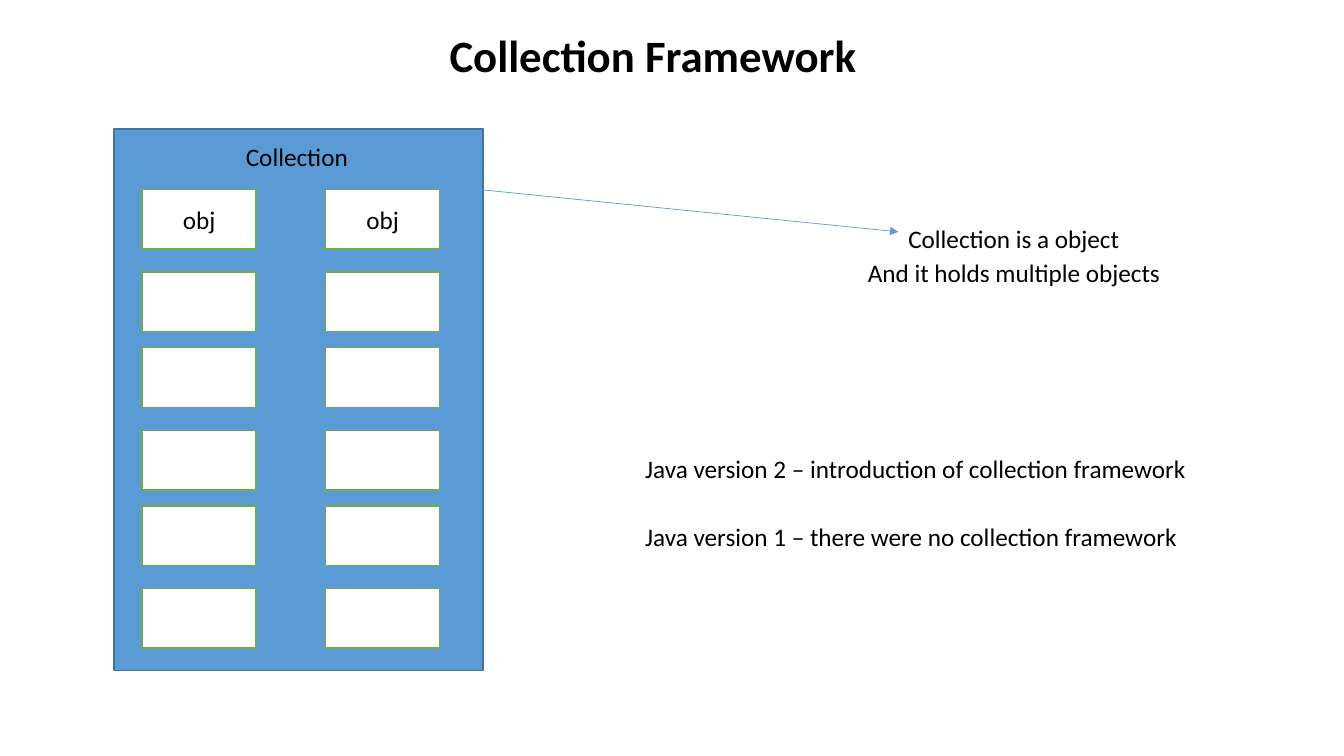
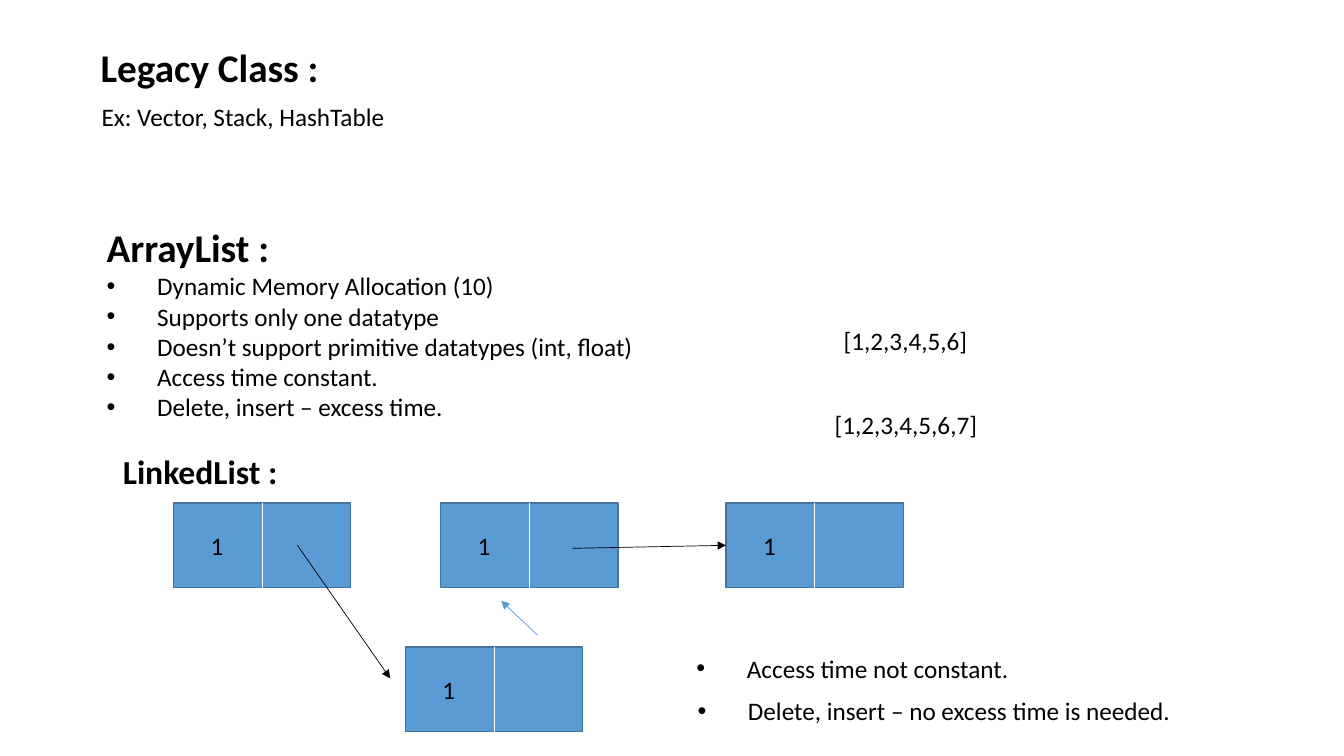
"""Build two slides on the Java collection framework."""
from itertools import product

from lxml.etree import SubElement
from pptx import Presentation
from pptx.dml.color import RGBColor
from pptx.enum.shapes import MSO_CONNECTOR, MSO_SHAPE
from pptx.enum.text import MSO_ANCHOR, PP_ALIGN
from pptx.oxml.ns import qn
from pptx.util import Inches, Pt

FONT = "Calibri"
BODY_SIZE = 18
BLACK = RGBColor(0x00, 0x00, 0x00)
WHITE = RGBColor(0xFF, 0xFF, 0xFF)
BLUE = RGBColor(0x5B, 0x9B, 0xD5)
DARK_BLUE = RGBColor(0x43, 0x73, 0x9E)
GREEN = RGBColor(0x70, 0xAD, 0x47)

NODE_WIDTH, NODE_HEIGHT = 1.76, 0.84
LEFT, BOTTOM_SIDE, TOP_SIDE = 1, 2, 0


def format_paragraph(paragraph, size=BODY_SIZE, bold=False):
    """Apply the shared font to the runs of a paragraph."""
    for run in paragraph.runs:
        run.font.name = FONT
        run.font.size = Pt(size)
        run.font.bold = bold
        run.font.color.rgb = BLACK


def add_bullet(paragraph):
    """Give a paragraph a hanging round bullet."""
    properties = paragraph._p.get_or_add_pPr()
    properties.set("marL", str(Inches(0.5)))
    properties.set("indent", str(-Inches(0.5)))
    SubElement(properties, qn("a:buFont"), typeface="Arial")
    SubElement(properties, qn("a:buChar"), char="•")


def add_label(slide, text, left, top, width, height=0.4, size=BODY_SIZE, bold=False):
    """Add one line of text and return its text frame."""
    box = slide.shapes.add_textbox(
        Inches(left), Inches(top), Inches(width), Inches(height))
    frame = box.text_frame
    frame.word_wrap = False
    frame.text = text
    format_paragraph(frame.paragraphs[0], size, bold)
    return frame


def add_heading(slide, text, left, top, width, height, size=28):
    """Add a bold heading and return its text frame."""
    return add_label(slide, text, left, top, width, height, size, True)


def add_box(slide, left, top, width, height, fill, outline, text=""):
    """Add a rectangle with centred text."""
    box = slide.shapes.add_shape(
        MSO_SHAPE.RECTANGLE, Inches(left), Inches(top), Inches(width), Inches(height))
    box.shadow.inherit = False
    box.fill.solid()
    box.fill.fore_color.rgb = fill
    box.line.color.rgb = outline
    box.line.width = Pt(1)
    if text:
        frame = box.text_frame
        frame.vertical_anchor = MSO_ANCHOR.MIDDLE
        frame.text = text
        frame.paragraphs[0].alignment = PP_ALIGN.CENTER
        format_paragraph(frame.paragraphs[0])
    return box


def add_line(slide, start, end, color, arrow=True):
    """Add a thin straight line, with an arrowhead at its end if wanted."""
    line = slide.shapes.add_connector(
        MSO_CONNECTOR.STRAIGHT, *(Inches(value) for value in (*start, *end)))
    line.line.color.rgb = color
    line.line.width = Pt(0.5)
    if arrow:
        SubElement(line.line._get_or_add_ln(), qn("a:tailEnd"), type="triangle")
    SubElement(line._element.spPr, qn("a:effectLst"))
    return line


def add_node(slide, left, top):
    """Add a list node split into a value and a link half."""
    node = add_box(slide, left, top, NODE_WIDTH, NODE_HEIGHT, BLUE, DARK_BLUE)
    middle = left + NODE_WIDTH / 2
    divider = add_line(
        slide, (middle, top), (middle, top + NODE_HEIGHT), WHITE, arrow=False)
    divider.begin_connect(node, TOP_SIDE)
    divider.end_connect(node, BOTTOM_SIDE)
    add_label(slide, "1", left + 0.27, top + 0.22, 0.33)
    return node


def build_collection_slide(slide):
    """Show a collection as a container of objects."""
    add_heading(slide, "Collection Framework", 4.36, 0.23, 4.28, 0.64, 32)
    add_box(slide, 1.13, 1.28, 3.66, 5.37, BLUE, DARK_BLUE)
    add_label(slide, "Collection", 2.34, 1.35, 1.23)
    for row, column in product(range(6), range(2)):
        pair, second = divmod(row, 2)
        add_box(slide, 1.41 + 1.82 * column, 1.88 + 1.57 * pair + 0.82 * second,
                1.13, 0.59, WHITE, GREEN, "obj" if row == 0 else "")

    add_line(slide, (4.75, 1.88), (8.91, 2.3), BLUE)
    for text, left, top, width in (
        ("Collection is a object", 8.91, 2.17, 2.32),
        ("And it holds multiple objects", 8.51, 2.5, 3.14),
        ("Java version 2 – introduction of collection framework", 6.3, 4.45, 5.63),
        ("Java version 1 – there were no collection framework", 6.3, 5.12, 5.54),
    ):
        add_label(slide, text, left, top, width)


def build_list_slide(slide):
    """Compare the array list with the linked list."""
    add_heading(slide, "Legacy Class :", 0.9, 0.38, 2.48, 0.57)
    add_label(slide, "Ex: Vector, Stack, HashTable", 0.91, 0.96, 3.04)

    array_list = add_heading(slide, "ArrayList :", 0.96, 2.17, 5.48, 2.09)
    for feature in (
        "Dynamic Memory Allocation (10)",
        "Supports only one datatype",
        "Doesn’t support primitive datatypes (int, float)",
        "Access time constant.",
        "Delete, insert – excess time.",
    ):
        paragraph = array_list.add_paragraph()
        paragraph.text = feature
        format_paragraph(paragraph)
        add_bullet(paragraph)
    add_label(slide, "[1,2,3,4,5,6]", 8.27, 3.18, 1.44)
    add_label(slide, "[1,2,3,4,5,6,7]", 8.18, 4.01, 1.63)

    add_heading(slide, "LinkedList :", 1.12, 4.42, 1.75, 0.5, 24)
    for left, top in ((1.72, 4.99), (4.37, 4.99), (4.02, 6.42)):
        add_node(slide, left, top)
    last_node = add_node(slide, 7.2, 4.99)
    add_line(slide, (2.95, 5.41), (3.87, 6.73), BLACK)
    add_line(slide, (5.33, 6.3), (4.97, 5.96), BLUE)
    last_link = add_line(slide, (5.68, 5.44), (7.2, 5.41), BLACK)
    last_link.end_connect(last_node, LEFT)

    for feature, left, top, width in (
        ("Access time not constant.", 6.81, 6.43, 3.33),
        ("Delete, insert – no excess time is needed.", 6.82, 6.85, 4.95),
    ):
        add_bullet(add_label(slide, feature, left, top, width).paragraphs[0])


def main():
    """Build and save the presentation."""
    presentation = Presentation()
    presentation.slide_width = Inches(13.33)
    presentation.slide_height = Inches(7.5)
    blank = presentation.slide_layouts[6]
    for build in (build_collection_slide, build_list_slide):
        build(presentation.slides.add_slide(blank))
    presentation.save("out.pptx")


if __name__ == "__main__":
    main()
